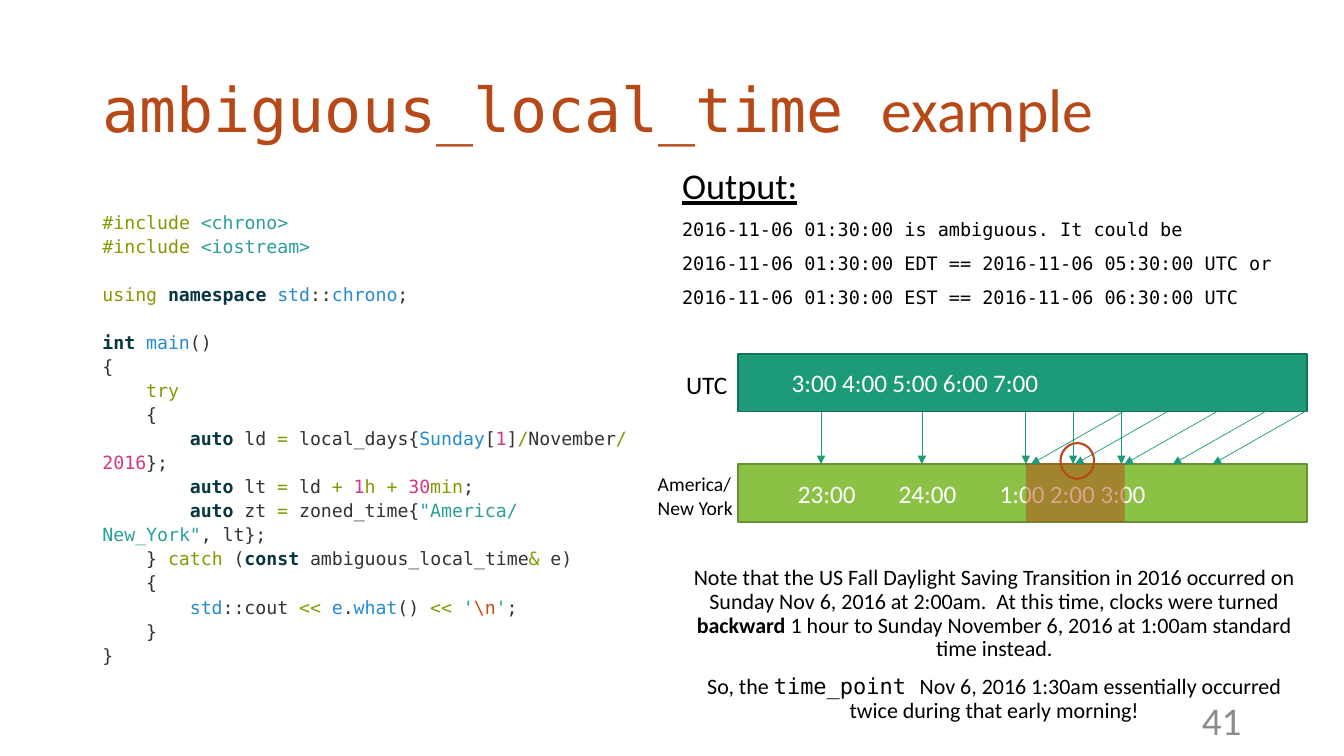
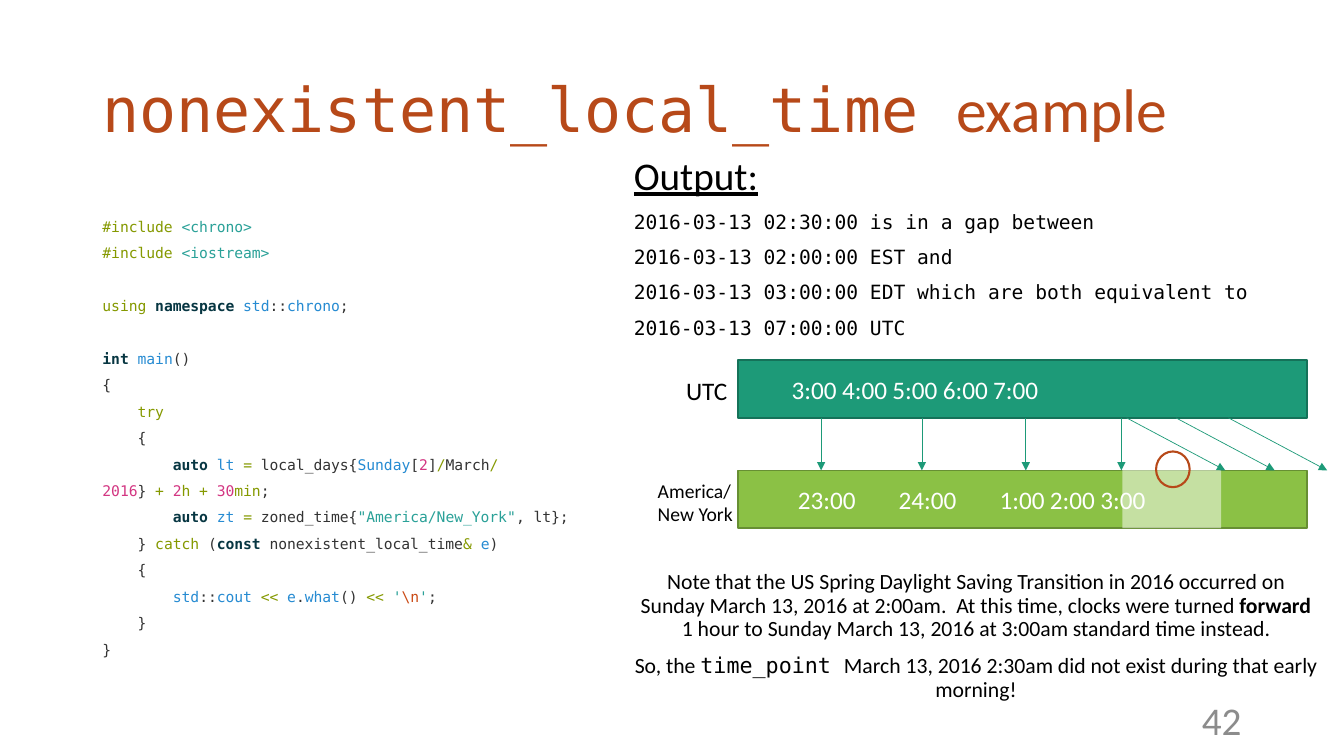
from pptx import Presentation
from pptx import util as u
from pptx.dml.color import RGBColor
from pptx.enum import shapes, text
from pptx.oxml import parse_xml
from pptx.oxml.ns import nsdecls, qn
from lxml import etree

PX = 9525
SANS, MONO = "Calibri", "DejaVu Sans Mono"
RUST, TEAL, LIME = "B74919", "1D9A78", "8BC145"
BLACK, WHITE, GREY, INK = "000000", "FFFFFF", "8C8C8C", "333333"
NBSP = chr(160)

# "~x" in a markup string switches to style x
STYLES = {
    "d": {"color": INK},
    "g": {"color": "859900"},
    "t": {"color": "2AA198"},
    "b": {"color": "268BD2"},
    "m": {"color": "D33682"},
    "o": {"color": "CB4B16"},
    "k": {"color": "073642", "bold": True},
    "N": {},
    "B": {"bold": True},
    "M": {"name": MONO},
    "S": {"name": SANS},
}

HEADER = [
    "~g#include ~t<chrono>",
    "~g#include ~t<iostream>",
    "",
    "~gusing ~knamespace ~bstd~d::~bchrono~d;",
    "",
    "~kint ~bmain~d()",
    "~d{",
    "~d    ~gtry",
    "~d    {",
]


def catch_lines(caught, stream):
    return [
        "~d    } ~gcatch~d (~kconst ~d" + caught,
        "~d    {",
        "~d        ~bstd" + stream + r" ~g<< ~be~d.~bwhat~d() ~g<< ~t'~o\n~t'~d;",
        "~d    }",
        "~d}",
    ]


AMBIGUOUS = {
    "title": "~Mambiguous_local_time ~Sexample",
    "code": HEADER + [
        "~d        ~kauto ~dld ~g= ~dlocal_days{~bSunday~d[~m1~d]~g/~dNovember~g/~m2016~d};",
        "~d        ~kauto ~dlt ~g= ~dld ~g+ ~m1~gh + ~m30~gmin~d;",
        '~d        ~kauto ~dzt ~g= ~dzoned_time{~t"America/New_York"~d, lt};',
    ] + catch_lines("ambiguous_local_time~g&~d e)", "~d::cout"),
    "code_size": 13, "code_spacing": 1.1,
    "output": [
        "2016-11-06 01:30:00 is ambiguous. It could be",
        "2016-11-06 01:30:00 EDT == 2016-11-06 05:30:00 UTC or",
        "2016-11-06 01:30:00 EST == 2016-11-06 06:30:00 UTC",
    ],
    "output_box": (640, 155, 614, 170), "heading_size": 25.9, "output_size": 13.2,
    "timeline_top": 337,
    "straight": [79, 175, 274, 319, 365],
    "slanted": [279, 321, 368, 414, 452], "run": -88,
    "zone_left": 274, "zone_color": RUST, "mark": (307, 85),
    "note": [
        "Note that the US Fall Daylight Saving Transition in 2016 occurred on Sunday "
        "Nov 6, 2016 at 2:00am.  At this time, clocks were turned ~Bbackward~N 1 hour "
        "to Sunday November 6, 2016 at 1:00am standard time instead.",
        "So, the ~Mtime_point ~NNov 6, 2016 1:30am essentially occurred twice during "
        "that early morning!",
    ],
    "note_box": (640, 535, 614, 165), "note_size": 15.7,
    "number": "41",
}

NONEXISTENT = {
    "title": "~Mnonexistent_local_time ~Sexample",
    "code": HEADER + [
        "~d        ~kauto ~blt ~g= ~dlocal_days{~bSunday~d[~m2~d]~g/~dMarch~g/~m2016~d} "
        "~g+ ~m2~gh + ~m30~gmin~d;",
        '~d        ~kauto ~bzt ~g= ~dzoned_time{~t"America/New_York"~d, lt};',
    ] + catch_lines("nonexistent_local_time~g& ~be~d)", "~d::~bcout"),
    "code_size": 10.5, "code_spacing": 1.5,
    "output": [
        "2016-03-13 02:30:00 is in a gap between",
        "2016-03-13 02:00:00 EST and",
        "2016-03-13 03:00:00 EDT which are both equivalent to",
        "2016-03-13 07:00:00 UTC",
    ],
    "output_box": (594, 144, 671, 190), "heading_size": 28, "output_size": 14,
    "timeline_top": 343,
    "straight": [79, 175, 274, 365],
    "slanted": [464, 511, 561], "run": 94,
    "zone_left": 366, "zone_color": WHITE, "mark": (398, 87),
    "note": [
        "Note that the US Spring Daylight Saving Transition in 2016 occurred on Sunday "
        "March 13, 2016 at 2:00am.  At this time, clocks were turned ~Bforward~N 1 hour "
        "to Sunday March 13, 2016 at 3:00am standard time instead.",
        "So, the ~Mtime_point ~NMarch 13, 2016 2:30am did not exist during that early "
        "morning!",
    ],
    "note_box": (594, 539, 671, 150), "note_size": 15.5,
    "number": "42",
}


def px(*lengths):
    return [u.Emu(length * PX) for length in lengths]


def rgb(color):
    return RGBColor.from_string(color)


def add_para(frame, markup, size, color=BLACK, font=SANS, spacing=1.0, before=0,
             align=text.PP_ALIGN.LEFT):
    """Fill the empty first paragraph, or append one, with styled markup."""
    para = frame.paragraphs[0]
    if para.runs:
        para = frame.add_paragraph()
    para.alignment = align
    para.line_spacing = spacing
    para.space_before = u.Pt(before)
    props = para._p.get_or_add_pPr()
    props.set("marL", "0")
    props.set("indent", "0")
    etree.SubElement(props, qn("a:buNone"))
    para.font.name, para.font.size = font, u.Pt(size)
    para.font.color.rgb = rgb(color)
    plain, *styled = markup.split("~")
    for key, words in [("N", plain)] + [(part[0], part[1:]) for part in styled]:
        if not words:
            continue
        span = para.add_run()
        span.text = words
        for name, value in STYLES[key].items():
            if name == "color":
                span.font.color.rgb = rgb(value)
            else:
                setattr(span.font, name, value)
    return para


def place(holder, box):
    holder.left, holder.top, holder.width, holder.height = px(*box)
    frame = holder.text_frame
    frame.word_wrap = True
    frame.auto_size = text.MSO_AUTO_SIZE.NONE
    frame.vertical_anchor = text.MSO_ANCHOR.TOP
    return frame


def add_text_box(page, box):
    return place(page.shapes.add_textbox(*px(*box)), box)


def add_plain_shape(page, kind, box, fill=None, line=None, weight=1):
    shape = page.shapes.add_shape(kind, *px(*box))
    shape.shadow.inherit = False
    if fill:
        shape.fill.solid()
        shape.fill.fore_color.rgb = rgb(fill)
    else:
        shape.fill.background()
    if line:
        shape.line.color.rgb = rgb(line)
        shape.line.width = u.Pt(weight)
    else:
        shape.line.fill.background()
    return shape


def add_arrow(page, x1, y1, x2, y2):
    arrow = page.shapes.add_connector(shapes.MSO_CONNECTOR.STRAIGHT, *px(x1, y1, x2, y2))
    arrow.line.color.rgb = rgb(TEAL)
    arrow.line.width = u.Pt(0.5)
    arrow.line._get_or_add_ln().append(
        parse_xml(f'<a:tailEnd {nsdecls("a")} type="triangle"/>'))
    etree.SubElement(arrow._element.spPr, qn("a:effectLst"))


def add_title(page, markup):
    frame = place(page.shapes.title, (88, 38, 1104, 139))
    frame.vertical_anchor = text.MSO_ANCHOR.MIDDLE
    add_para(frame, markup, 44, RUST, spacing=0.9)


def add_code(page, lines, size, spacing):
    frame = place(page.placeholders[1], (88, 194, 544, 457))
    gap = 0
    for line in lines:
        if not line:
            gap = round(size * spacing * 1.2, 1)
            continue
        add_para(frame, line.replace(" ", NBSP), size, INK, MONO, spacing, gap)
        gap = 0


def add_output(page, box, lines, heading_size, size):
    frame = place(page.placeholders[2], box)
    add_para(frame, "Output:", heading_size, spacing=0.9).font.underline = True
    for line in lines:
        add_para(frame, line, size, font=MONO, spacing=0.9, before=10)


def add_hours_bar(page, box, fill, line, inset, hours):
    bar = add_plain_shape(page, shapes.MSO_SHAPE.RECTANGLE, box, fill, line)
    frame = bar.text_frame
    frame.margin_left = px(inset)[0]
    frame.vertical_anchor = text.MSO_ANCHOR.MIDDLE
    add_para(frame, "\t".join(hours), 18, WHITE)


def add_timeline(page, left, top, spec):
    """Two hour bars with arrows between them; spec positions count from left and top."""
    width, height, drop = 542, 55, 105
    add_hours_bar(page, (left, top, width, height), TEAL, "157259", 51,
                  ["3:00", "4:00", "5:00", "6:00", "7:00"])
    add_hours_bar(page, (left, top + drop, width, height), LIME, "678F33", 57,
                  ["23:00", "24:00", "1:00", "2:00", "3:00"])
    add_para(add_text_box(page, (left - 59, top + 10, 62, 38)), "UTC", 18)
    add_para(add_text_box(page, (left - 86, top + drop + 3, 101, 55)), "America/New York", 14)

    zone = add_plain_shape(page, shapes.MSO_SHAPE.RECTANGLE,
                           (left + spec["zone_left"], top + drop - 1, 94, height + 1),
                           spec["zone_color"])
    zone_color = zone._element.spPr.find(qn("a:solidFill"))[0]
    etree.SubElement(zone_color, qn("a:alpha")).set("val", "50000")

    arrows = [(x, x) for x in spec["straight"]]
    arrows += [(tip - spec["run"], tip) for tip in spec["slanted"]]
    for start, tip in arrows:
        add_arrow(page, left + start, top + height, left + tip, top + drop)
    mark_x, mark_y = spec["mark"]
    add_plain_shape(page, shapes.MSO_SHAPE.OVAL, (left + mark_x, top + mark_y, 32, 34),
                    line=RUST, weight=1.5)


def add_note(page, box, paragraphs, size):
    frame = add_text_box(page, box)
    for index, markup in enumerate(paragraphs):
        add_para(frame, markup, size, spacing=0.9, before=10 if index else 0,
                 align=text.PP_ALIGN.CENTER)


def add_page_number(page, number):
    frame = add_text_box(page, (904, 667, 288, 38))
    frame.vertical_anchor = text.MSO_ANCHOR.MIDDLE
    add_para(frame, number, 28, GREY, align=text.PP_ALIGN.RIGHT)


def add_example(deck, spec):
    page = deck.slides.add_slide(deck.slide_layouts.get_by_name("Two Content"))
    add_title(page, spec["title"])
    add_code(page, spec["code"], spec["code_size"], spec["code_spacing"])
    add_output(page, spec["output_box"], spec["output"], spec["heading_size"],
               spec["output_size"])
    add_timeline(page, 703, spec["timeline_top"], spec)
    add_note(page, spec["note_box"], spec["note"], spec["note_size"])
    add_page_number(page, spec["number"])


def main():
    deck = Presentation()
    deck.slide_width, deck.slide_height = px(1280, 720)
    for spec in (AMBIGUOUS, NONEXISTENT):
        add_example(deck, spec)
    deck.save("out.pptx")


if __name__ == "__main__":
    main()
